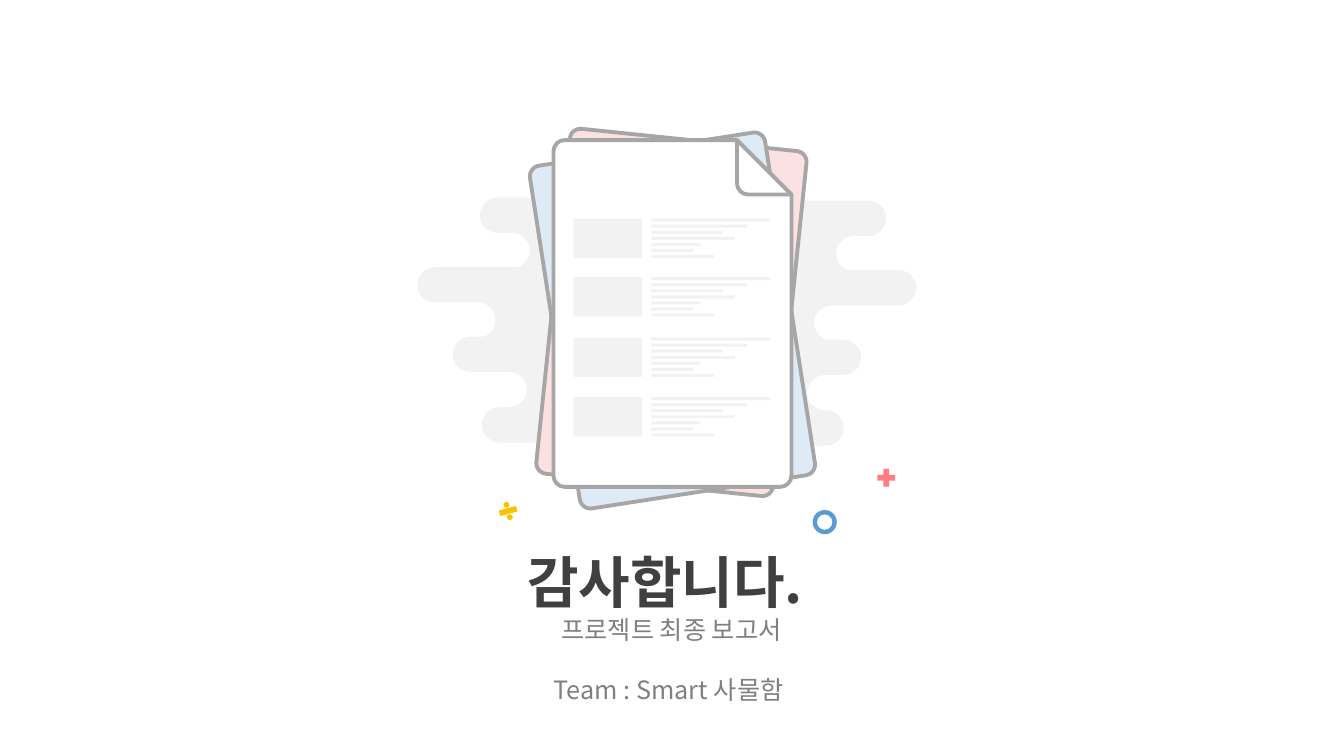
import dataclasses

import lxml.etree
import pptx
import pptx.dml.color
import pptx.enum.shapes
import pptx.enum.text
import pptx.oxml.ns
import pptx.util

Inches = pptx.util.Inches
Pt = pptx.util.Pt
Preset = pptx.enum.shapes.MSO_SHAPE


@dataclasses.dataclass(frozen=True)
class Theme:
    """Colours, font and sizes of the slide."""
    font: str = "Noto Sans CJK KR"
    title_size: int = 40
    body_size: int = 18
    line_height: float = 1.2
    title: str = "404040"
    body: str = "808080"
    cloud: str = "F2F2F2"
    outline: str = "A6A6A6"
    outline_width: float = 2.75
    pink: str = "FBE1E2"
    pale_blue: str = "DEEBF7"
    white: str = "FFFFFF"
    ink: str = "000000"
    ink_opacity: int = 5
    blue: str = "5B9BD5"
    red: str = "FF7C80"
    yellow: str = "FFC000"


THEME = Theme()
BAR_HEIGHT = 0.35
NOTCH_WIDTH = 1.33
UNITS_PER_INCH = 1000


def paint(shape, fill, outline=None):
    """Give a shape a flat fill and an optional outline."""
    shape.shadow.inherit = False
    shape.fill.solid()
    shape.fill.fore_color.rgb = pptx.dml.color.RGBColor.from_string(fill)
    if outline:
        shape.line.color.rgb = pptx.dml.color.RGBColor.from_string(outline)
        shape.line.width = Pt(THEME.outline_width)
    else:
        shape.line.fill.background()


def add_preset(shapes, preset, box, fill, outline=None, adjust=None, rotation=0):
    """Add a painted preset shape in a box of left, top, width and height."""
    shape = shapes.add_shape(preset, *map(Inches, box))
    paint(shape, fill, outline)
    shape.rotation = rotation
    if adjust is not None:
        shape.adjustments[0] = adjust
    return shape


def quarter(start, corner, end):
    """Return the Bezier points of a quarter circle that rounds a corner."""
    def toward(point):
        return tuple(p + 0.55 * (c - p) for p, c in zip(point, corner))
    return [toward(start), toward(end), end]


def add_outline(shapes, start, steps, fill, outline=None):
    """Add a closed outline whose steps hold one line point or three curve points."""
    def scaled(point):
        return tuple(round(value * UNITS_PER_INCH) for value in point)
    builder = shapes.build_freeform(*scaled(start), scale=Inches(1) / UNITS_PER_INCH)
    builder.add_line_segments([scaled(point) for step in steps for point in step], close=True)
    shape = builder.convert_to_shape()
    lines = iter(list(shape._element.iter(pptx.oxml.ns.qn("a:lnTo"))))
    for step in steps:
        segments = [next(lines) for _ in step]
        if len(segments) == 3:
            curve = lxml.etree.Element(pptx.oxml.ns.qn("a:cubicBezTo"))
            segments[0].addprevious(curve)
            for segment in segments:
                curve.append(segment[0])
                segment.getparent().remove(segment)
    paint(shape, fill, outline)


def add_notch(shapes, base, top, side):
    """Draw a joint between bars, round at its tip and hollow at its base."""
    radius = BAR_HEIGHT / 2
    middle, bottom = top + radius, top + BAR_HEIGHT
    shoulder, tip = base + side * (NOTCH_WIDTH - radius), base + side * NOTCH_WIDTH
    hollow = base + side * radius
    steps = [[(shoulder, top)],
             quarter((shoulder, top), (tip, top), (tip, middle)),
             quarter((tip, middle), (tip, bottom), (shoulder, bottom)),
             [(base, bottom)],
             quarter((base, bottom), (hollow, bottom), (hollow, middle)),
             quarter((hollow, middle), (hollow, top), (base, top))]
    add_outline(shapes, (base, top), steps, THEME.cloud)


def add_cloud(slide, bars, notches, side):
    """Draw one half of the cloud; side is 1 when its notch tips point right."""
    group = slide.shapes.add_group_shape()
    for left, top in bars:
        add_preset(group.shapes, Preset.ROUNDED_RECTANGLE,
                   (left, top, 2.06, BAR_HEIGHT), THEME.cloud, adjust=0.5)
    for base, top in notches:
        add_notch(group.shapes, base, top, side)


def add_row(shapes, left, top):
    """Draw a thumbnail with its seven text bars on the page."""
    widths = (1.18, 0.95, 0.71, 0.83, 0.49, 0.42, 0.62)
    boxes = [(left, top, 0.68, 0.39)]
    boxes += [(left + 0.77, top + 0.06 * i, width, 0.03) for i, width in enumerate(widths)]
    for box in boxes:
        shape = add_preset(shapes, Preset.RECTANGLE, box, THEME.ink)
        colour = shape.fill._xPr.find(".//" + pptx.oxml.ns.qn("a:srgbClr"))
        alpha = lxml.etree.SubElement(colour, pptx.oxml.ns.qn("a:alpha"))
        alpha.set("val", str(THEME.ink_opacity * 1000))


def add_papers(slide, left, top, width, height):
    """Draw the stack of papers with a folded front page."""
    group = slide.shapes.add_group_shape().shapes
    sheets = ((-0.01, -0.01, THEME.pink, 5.9), (0, 0.07, THEME.pale_blue, 351.2))
    for dx, dy, fill, rotation in sheets:
        add_preset(group, Preset.ROUNDED_RECTANGLE, (left + dx, top + dy, width, height),
                   fill, THEME.outline, 0.045, rotation)
    right, bottom, radius = left + width, top + height, 0.11
    fold_left, fold_bottom = right - 0.54, top + 0.54
    page = [[(fold_left, top)], [(right, fold_bottom)], [(right, bottom - radius)],
            quarter((right, bottom - radius), (right, bottom), (right - radius, bottom)),
            [(left + radius, bottom)],
            quarter((left + radius, bottom), (left, bottom), (left, bottom - radius)),
            [(left, top + radius)],
            quarter((left, top + radius), (left, top), (left + radius, top))]
    add_outline(group, (left + radius, top), page, THEME.white, THEME.outline)
    corner = [[(fold_left, fold_bottom - radius)],
              quarter((fold_left, fold_bottom - radius), (fold_left, fold_bottom),
                      (fold_left + radius, fold_bottom)),
              [(right, fold_bottom)]]
    add_outline(group, (fold_left, top), corner, THEME.white, THEME.outline)
    for row in (0.78, 1.36, 1.96, 2.55):
        add_row(group, left + 0.2, top + row)


def add_marks(slide):
    """Scatter the small coloured symbols around the papers."""
    size = 0.24
    add_preset(slide.shapes, Preset.DONUT, (8.06, 5.06, size, size), THEME.blue, adjust=0.18)
    add_preset(slide.shapes, Preset.MATH_MULTIPLY, (8.67, 4.62, size, size),
               THEME.red, rotation=45)
    add_preset(slide.shapes, Preset.MATH_DIVIDE, (4.92, 4.95, size, size),
               THEME.yellow, rotation=345)


def write(shape, lines, size, colour, bold=False):
    """Write centred lines into a text shape."""
    frame = shape.text_frame
    frame.text = "\n".join(lines)
    frame.word_wrap = True
    frame.auto_size = pptx.enum.text.MSO_AUTO_SIZE.NONE
    frame.vertical_anchor = pptx.enum.text.MSO_ANCHOR.TOP
    frame.margin_top = frame.margin_bottom = 0
    for paragraph in frame.paragraphs:
        paragraph.alignment = pptx.enum.text.PP_ALIGN.CENTER
        paragraph.line_spacing = Pt(size * THEME.line_height)
        for run in paragraph.runs:
            run.font.name = THEME.font
            run.font.size = Pt(size)
            run.font.bold = bold
            run.font.color.rgb = pptx.dml.color.RGBColor.from_string(colour)
            east_asian = lxml.etree.SubElement(run.font._element, pptx.oxml.ns.qn("a:ea"))
            east_asian.set("typeface", THEME.font)


def add_closing_text(slide, left, top, width):
    """Place the thanks title and the two lines below it."""
    title = slide.shapes.title
    title.left, title.top = Inches(left), Inches(top)
    title.width, title.height = Inches(width), Inches(0.67)
    write(title, ["감사합니다. "], THEME.title_size, THEME.title, bold=True)
    title.text_frame.paragraphs[0].space_before = Pt(0)
    details = slide.shapes.add_textbox(
        Inches(left), Inches(top + 0.66), Inches(width), Inches(0.95))
    write(details, ["프로젝트 최종 보고서", "Team : Smart 사물함 "], THEME.body_size, THEME.body)
    details.text_frame.paragraphs[1].space_before = Pt(THEME.body_size * THEME.line_height)


def build_closing_slide(presentation):
    """Build the closing slide."""
    slide = presentation.slides.add_slide(presentation.slide_layouts[5])
    add_cloud(slide, [(6.31, 4.07), (6.73, 1.99), (7.03, 2.68), (6.48, 3.37)],
              [(8.47, 2.34), (8.25, 3.03), (8.18, 3.72)], -1)
    add_cloud(slide, [(4.78, 4.04), (4.76, 1.96), (4.14, 2.65), (4.49, 3.34)],
              [(5.08, 2.31), (4.74, 3.0), (5.05, 3.69)], 1)
    add_papers(slide, 5.49, 1.39, 2.36, 3.44)
    add_closing_text(slide, 2.63, 5.43, 8.06)
    add_marks(slide)


def main():
    """Create and save the presentation."""
    presentation = pptx.Presentation()
    presentation.slide_width = Inches(13.33)
    presentation.slide_height = Inches(7.5)
    build_closing_slide(presentation)
    presentation.save("out.pptx")


if __name__ == "__main__":
    main()
